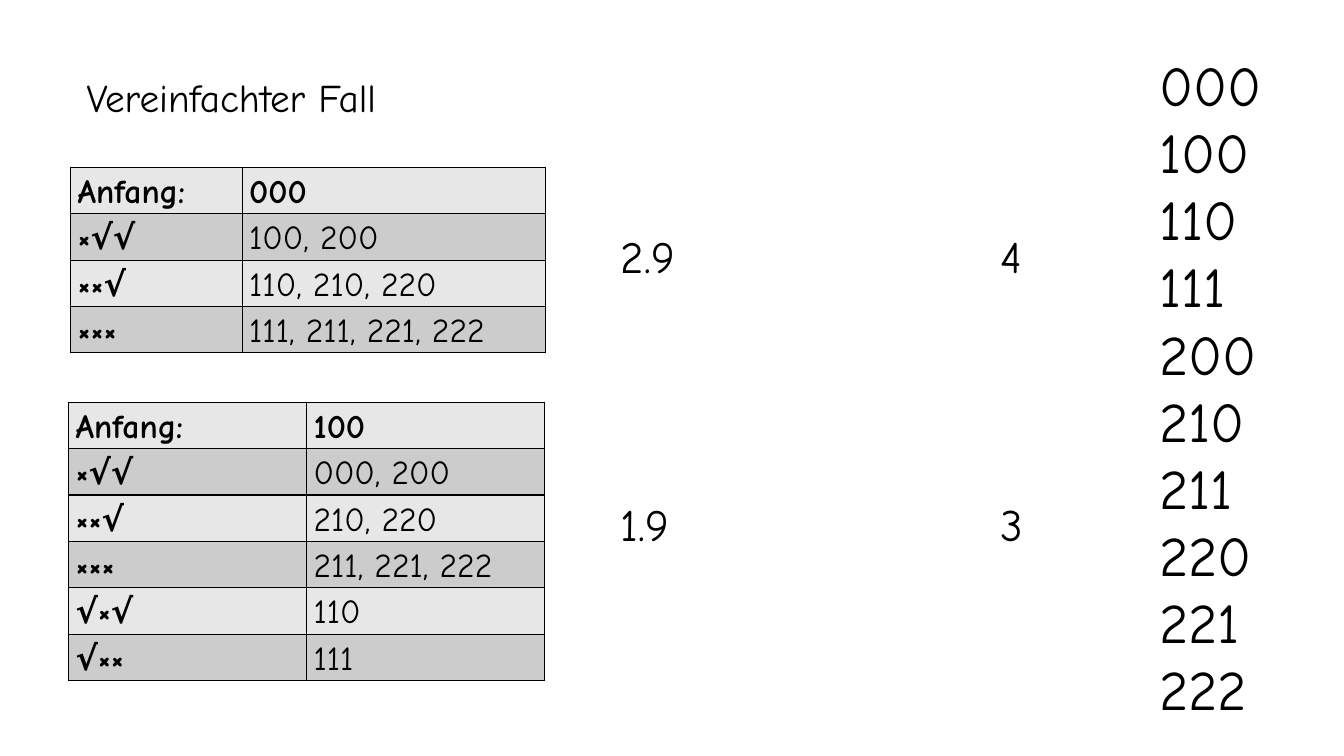
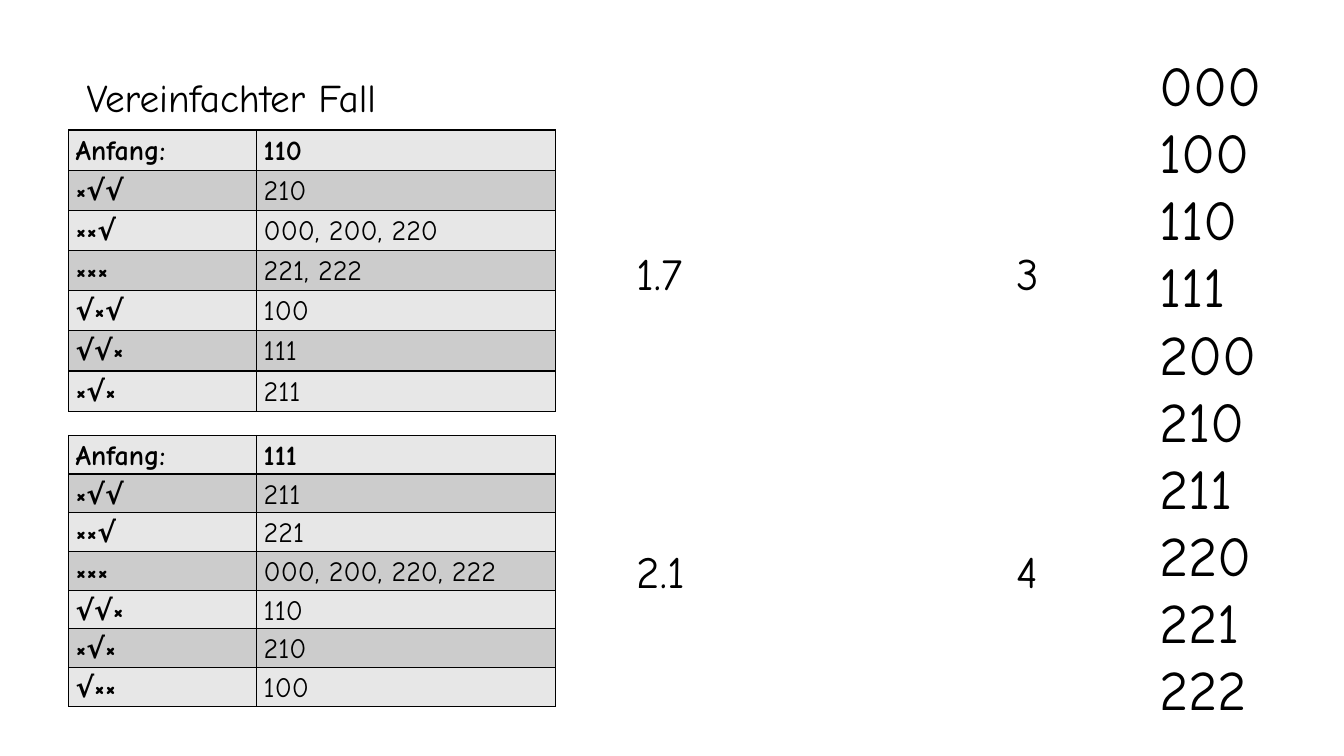
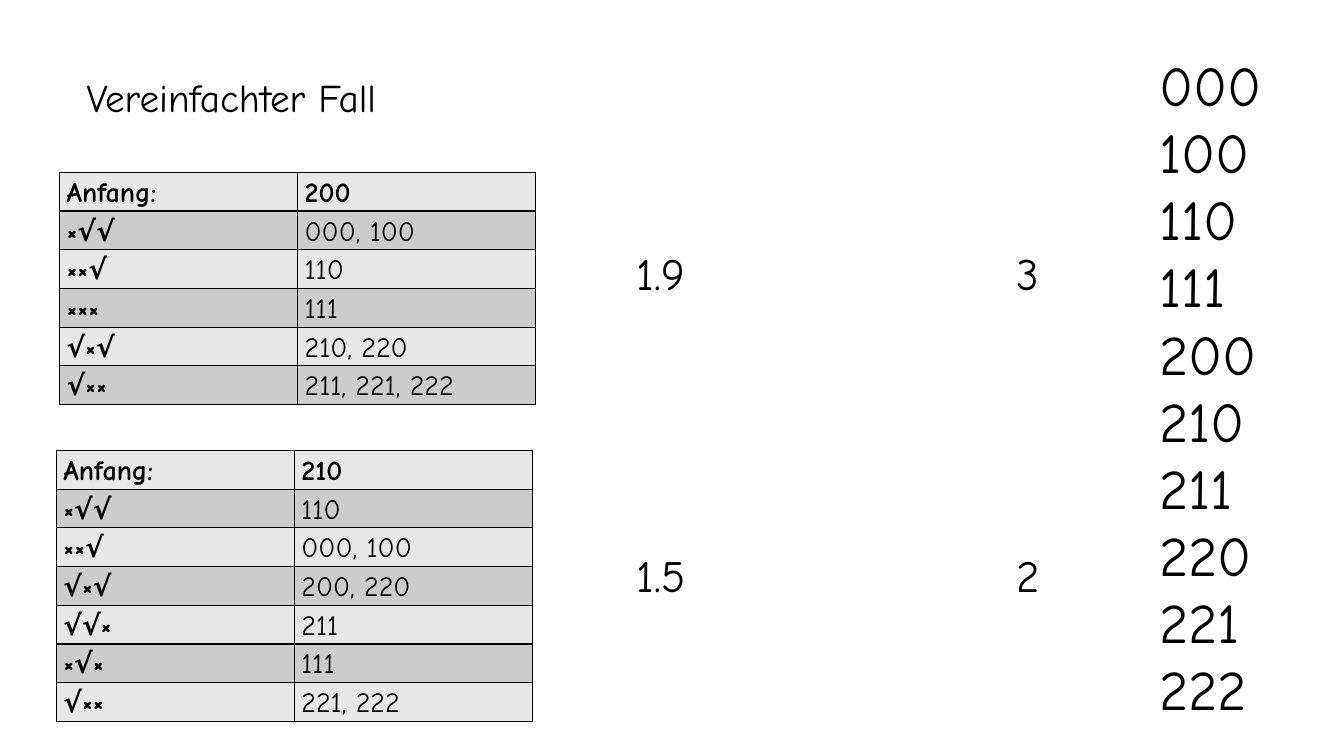
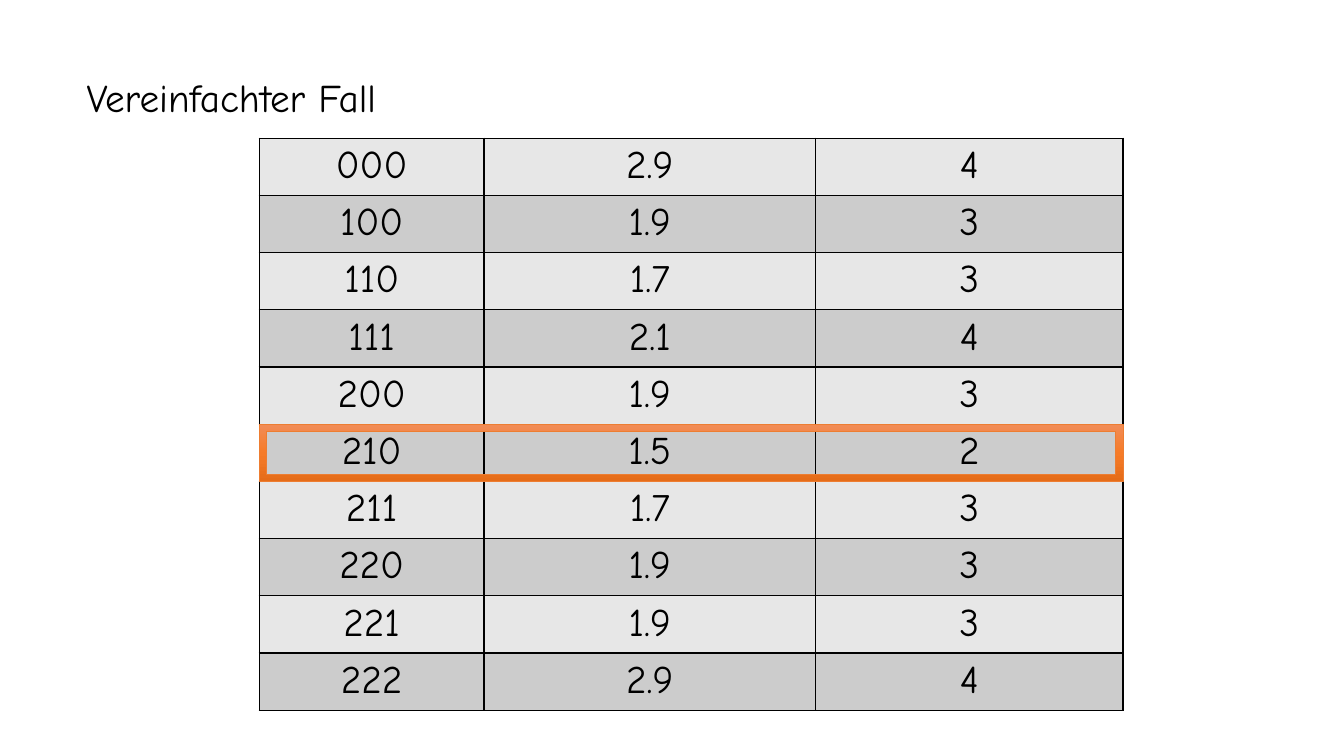
from copy import deepcopy
from dataclasses import dataclass

from lxml.etree import SubElement
from pptx import Presentation
from pptx.dml.color import RGBColor as RGB
from pptx.enum.shapes import MSO_SHAPE as Shape
from pptx.enum.text import MSO_AUTO_SIZE as AutoSize, PP_ALIGN as Align
from pptx.oxml.ns import qn
from pptx.util import Pt


@dataclass(frozen=True)
class Theme:
    font: str = "Comic Neue"
    ink: RGB = RGB(0x00, 0x00, 0x00)
    bands: tuple = (RGB(0xE7, 0xE7, 0xE7), RGB(0xCC, 0xCC, 0xCC))
    accent: RGB = RGB(0xED, 0x7D, 0x31)
    glow: tuple = ((0, RGB(0xF1, 0x8C, 0x57)), (0.5, RGB(0xF6, 0x7B, 0x28)),
                   (1, RGB(0xE5, 0x6C, 0x19)))
    title: int = 28
    codes: int = 40
    result: int = 32
    summary: int = 28


theme = Theme()


def add_text(slide, left, top, width, height, lines, size):
    frame = slide.shapes.add_textbox(Pt(left), Pt(top), Pt(width), Pt(height)).text_frame
    frame.word_wrap = True
    frame.auto_size = AutoSize.SHAPE_TO_FIT_TEXT
    frame.text = "\n".join(lines)
    for paragraph in frame.paragraphs:
        font = paragraph.font
        font.name, font.size, font.color.rgb = theme.font, Pt(size), theme.ink


def add_grid(slide, left, top, widths, row_height, rows, size, headed):
    """Draw a banded table; a headed one has bold labels and tight cells."""
    table = slide.shapes.add_table(len(rows), len(widths), Pt(left), Pt(top), Pt(sum(widths)),
                                   Pt(row_height * len(rows))).table
    table.first_row = table.horz_banding = False
    for column, width in zip(table.columns, widths):
        column.width = Pt(width)
    for r, row in enumerate(rows):
        table.rows[r].height = Pt(row_height)
        for c, content in enumerate(row):
            cell = table.cell(r, c)
            cell.text = content
            cell.fill.solid()
            cell.fill.fore_color.rgb = theme.bands[r % 2]
            paragraph = cell.text_frame.paragraphs[0]
            font = paragraph.font
            font.name, font.size, font.color.rgb = theme.font, Pt(size), theme.ink
            font.bold = headed and (r == 0 or c == 0)
            if headed:
                cell.margin_left = cell.margin_right = Pt(5)
                cell.margin_top = cell.margin_bottom = 0
                paragraph.line_spacing, paragraph.space_after = 1.15, Pt(8)
            else:
                paragraph.alignment = Align.CENTER
            properties = cell._tc.get_or_add_tcPr()
            for position, side in enumerate(("a:lnL", "a:lnR", "a:lnT", "a:lnB")):
                border = SubElement(properties, qn(side), w=str(Pt(1)))
                ink = SubElement(SubElement(border, qn("a:solidFill")), qn("a:srgbClr"))
                ink.set("val", str(theme.ink))
                properties.insert(position, border)


# Start code: mean and maximum number of remaining candidates
results = {
    "000": ("2.9", "4"), "100": ("1.9", "3"), "110": ("1.7", "3"), "111": ("2.1", "4"),
    "200": ("1.9", "3"), "210": ("1.5", "2"), "211": ("1.7", "3"), "220": ("1.9", "3"),
    "221": ("1.9", "3"), "222": ("2.9", "4"),
}

# Start code: candidates left after each answer
answers = {
    "000": [("×√√", "100, 200"), ("××√", "110, 210, 220"), ("×××", "111, 211, 221, 222")],
    "100": [("×√√", "000, 200"), ("××√", "210, 220"), ("×××", "211, 221, 222"),
            ("√×√", "110"), ("√××", "111")],
    "110": [("×√√", "210"), ("××√", "000, 200, 220"), ("×××", "221, 222"),
            ("√×√", "100"), ("√√×", "111"), ("×√×", "211")],
    "111": [("×√√", "211"), ("××√", "221"), ("×××", "000, 200, 220, 222"),
            ("√√×", "110"), ("×√×", "210"), ("√××", "100")],
    "200": [("×√√", "000, 100"), ("××√", "110"), ("×××", "111"),
            ("√×√", "210, 220"), ("√××", "211, 221, 222")],
    "210": [("×√√", "110"), ("××√", "000, 100"), ("√×√", "200, 220"),
            ("√√×", "211"), ("×√×", "111"), ("√××", "221, 222")],
}

# Per slide: text size, left of the results, then per table
# start code, left, top, column widths, row height, top of the results
case_slides = [
    (24, 436.4, [("000", 50.4, 119.5, (122.6, 216.4), 33.12, 160),
                 ("100", 49, 287.3, (170, 170), 33.12, 351.4)]),
    (20, 447.8, [("110", 49, 92.9, (134.4, 213.6), 28.7, 172),
                 ("111", 49, 311, (134.4, 213.6), 27.6, 384.5)]),
    (20, 447.8, [("200", 42.6, 123.1, (170, 170), 27.6, 172),
                 ("210", 40.3, 321.8, (170, 170), 27.6, 387.4)]),
]

deck = Presentation()
deck.slide_width, deck.slide_height = Pt(960), Pt(540)
slides = [deck.slides.add_slide(deck.slide_layouts[6]) for _ in range(len(case_slides) + 1)]
for slide in slides:
    add_text(slide, 54.7, 49, 250, 41, ["Vereinfachter Fall"], theme.title)

for slide, (size, result_left, cases) in zip(slides, case_slides):
    add_text(slide, 820.8, 32.4, 90, 492, results, theme.codes)
    for start, left, top, widths, row_height, result_top in cases:
        rows = [("Anfang:", start), *answers[start]]
        add_grid(slide, left, top, widths, row_height, rows, size, headed=True)
        mean, maximum = results[start]
        add_text(slide, result_left, result_top, 163.4, 46, [mean], theme.result)
        add_text(slide, result_left + 271.4, result_top, 64, 46, [maximum], theme.result)

# Summary with the best start code framed
summary = slides[-1]
left, top, widths, row_height = 185.2, 98.8, (160.6, 236.8, 219.6), 40.85
rows = [(start, *values) for start, values in results.items()]
add_grid(summary, left, top, widths, row_height, rows, theme.summary, headed=False)

best_row = list(results).index("210")
highlight = summary.shapes.add_shape(Shape.FRAME, Pt(left), Pt(top + best_row * row_height),
                                     Pt(sum(widths)), Pt(row_height))
highlight.shadow.inherit = False
highlight.line.color.rgb, highlight.line.width = theme.accent, Pt(0.5)
highlight.fill.gradient()
highlight.fill.gradient_angle = 270
stop_list = highlight.element.spPr.find(".//" + qn("a:gsLst"))
stop_list.append(deepcopy(stop_list[-1]))
for stop, (position, color) in zip(highlight.fill.gradient_stops, theme.glow):
    stop.position, stop.color.rgb = position, color

deck.save("out.pptx")
